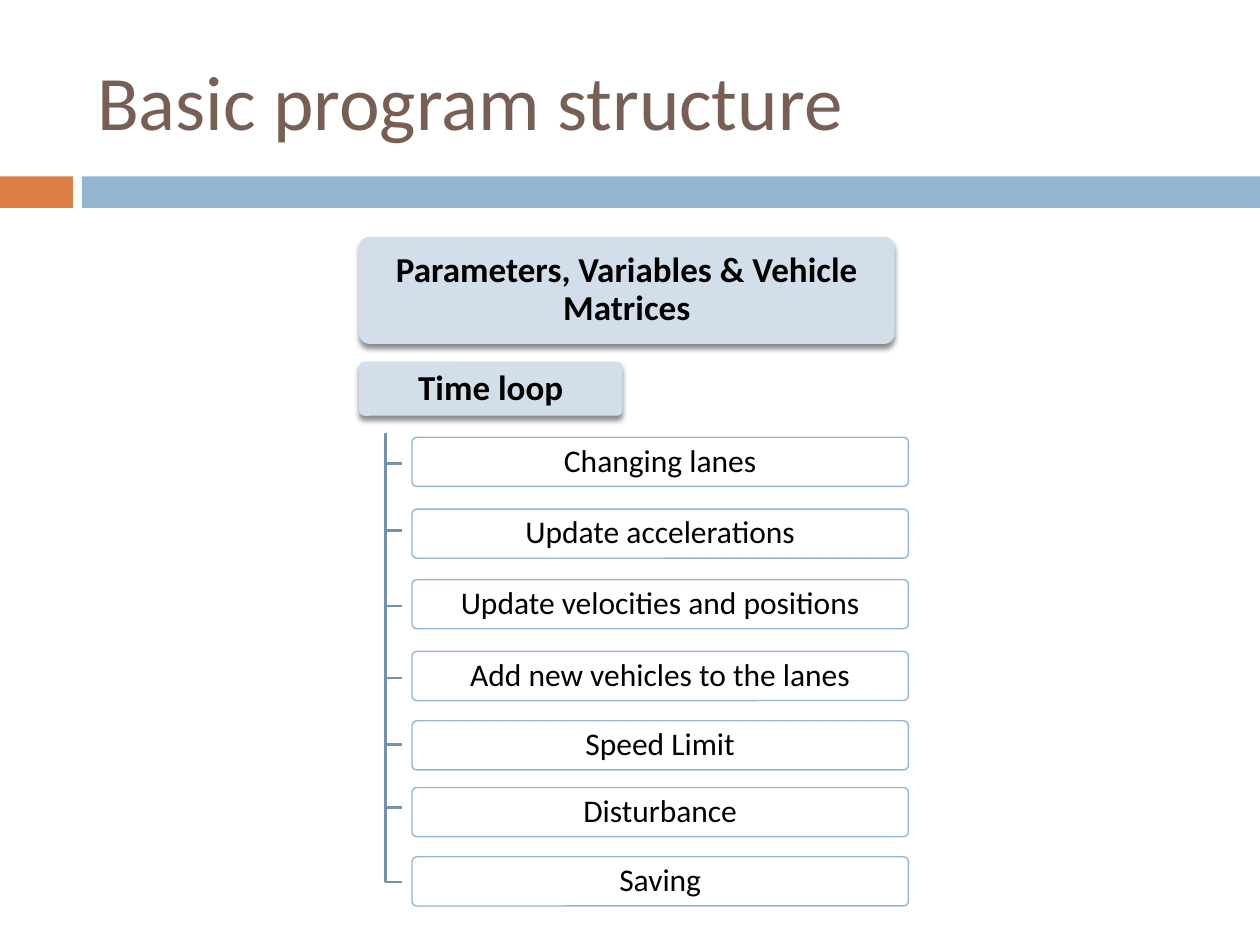
"""Build a slide showing the basic structure of a traffic simulation program."""
from lxml.etree import SubElement
from pptx import Presentation
from pptx.dml.color import RGBColor
from pptx.enum.shapes import MSO_SHAPE as SHAPE
from pptx.enum.text import MSO_ANCHOR as ANCHOR, PP_ALIGN as ALIGN
from pptx.oxml import parse_xml
from pptx.oxml.ns import nsdecls, qn
from pptx.util import Inches, Pt

rgb = RGBColor.from_string

prs = Presentation()
prs.slide_width, prs.slide_height = Inches(10), Inches(7.5)
COL, ROW = prs.slide_width / 100, prs.slide_height / 75
s = prs.slides.add_slide(prs.slide_layouts[5])


def add_box(kind, x, y, w, h, fill):
    sp = s.shapes.add_shape(kind, int(x * COL), int(y * ROW), int(w * COL), int(h * ROW))
    sp.shadow.inherit = False
    sp.fill.solid()
    sp.fill.fore_color.rgb = rgb(fill)
    sp.line.fill.background()
    return sp


def add_label(sp, text, size, bold, inset):
    sp.adjustments[0] = 0.1
    tf = sp.text_frame
    tf.word_wrap = True
    tf.vertical_anchor = ANCHOR.MIDDLE
    tf.margin_left = tf.margin_right = Inches(inset)
    tf.margin_top = tf.margin_bottom = Inches(inset / 2)
    p = tf.paragraphs[0]
    p.text = text
    p.alignment, p.line_spacing = ALIGN.CENTER, 0.9
    p.font.name, p.font.size, p.font.bold = "Calibri", Pt(size), bold
    p.font.color.rgb = rgb("000000")


for x, w, fill in ((0, 5.8, "DD8047"), (6.5, 93.5, "94B6D2")):
    add_box(SHAPE.RECTANGLE, x, 14, w, 2.5, fill)

title = s.shapes.title
title.left, title.top = int(6.7 * COL), int(2.5 * ROW)
title.width, title.height = int(89.2 * COL), int(10.8 * ROW)
title.text_frame.vertical_anchor = ANCHOR.MIDDLE
p = title.text_frame.paragraphs[0]
p.text = "Basic program structure"
p.alignment = ALIGN.LEFT
p.font.name, p.font.size = "Calibri", Pt(44)
p.font.color.rgb = rgb("775F55")

stages = (
    ("Parameters, Variables & Vehicle Matrices", 18.8, 42.5, 8.5),
    ("Time loop", 28.7, 20.9, 4.3),
)
for text, y, w, h in stages:
    sp = add_box(SHAPE.ROUNDED_RECTANGLE, 28.5, y, w, h, "D2DEEA")
    add_label(sp, text, 20, True, 0.03)
    sp._element.spPr.find(qn("a:effectLst")).append(parse_xml(
        f'<a:outerShdw {nsdecls("a")} blurRad="{Pt(3)}" dist="{Pt(2.4)}" dir="5400000" '
        'rotWithShape="0"><a:srgbClr val="000000"><a:alpha val="45000"/></a:srgbClr></a:outerShdw>'))

steps = (
    ("Changing lanes", 34.7, 34.4, 36.8),
    ("Update accelerations", 40.4, 35.9, 42.1),
    ("Update velocities and positions", 46, 38.3, 48.1),
    ("Add new vehicles to the lanes", 51.7, 40.5, 53.8),
    ("Speed Limit", 57.2, 42.2, 59.1),
    ("Disturbance", 62.5, 43.8, 64.1),
    ("Saving", 68, 46.2, 70),
)
for text, y, branch_top, branch_end in steps:
    builder = s.shapes.build_freeform(int(30.6 * COL), int(branch_top * ROW))
    builder.add_line_segments(
        [(int(30.6 * COL), int(branch_end * ROW)), (int(31.9 * COL), int(branch_end * ROW))],
        close=False)
    branch = builder.convert_to_shape()
    branch.shadow.inherit = False
    branch.fill.background()
    branch.line.color.rgb, branch.line.width = rgb("7792A8"), Pt(1.5)

    sp = add_box(SHAPE.ROUNDED_RECTANGLE, 32.7, y, 39.4, 3.9, "FFFFFF")
    SubElement(sp._element.spPr.find(qn("a:solidFill"))[0], qn("a:alpha"), val="90000")
    sp.line.color.rgb, sp.line.width = rgb("94B6D2"), Pt(0.79)
    add_label(sp, text, 18, False, 0.02)

prs.save("out.pptx")
